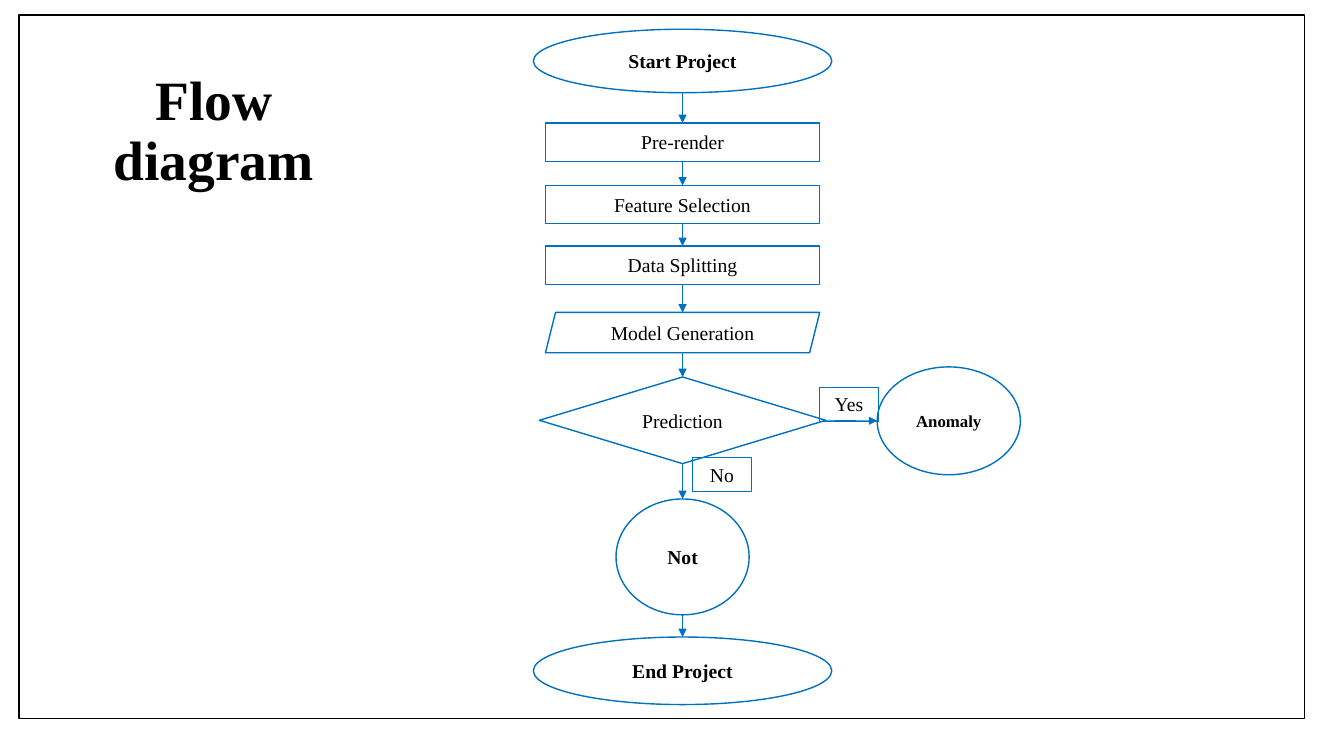
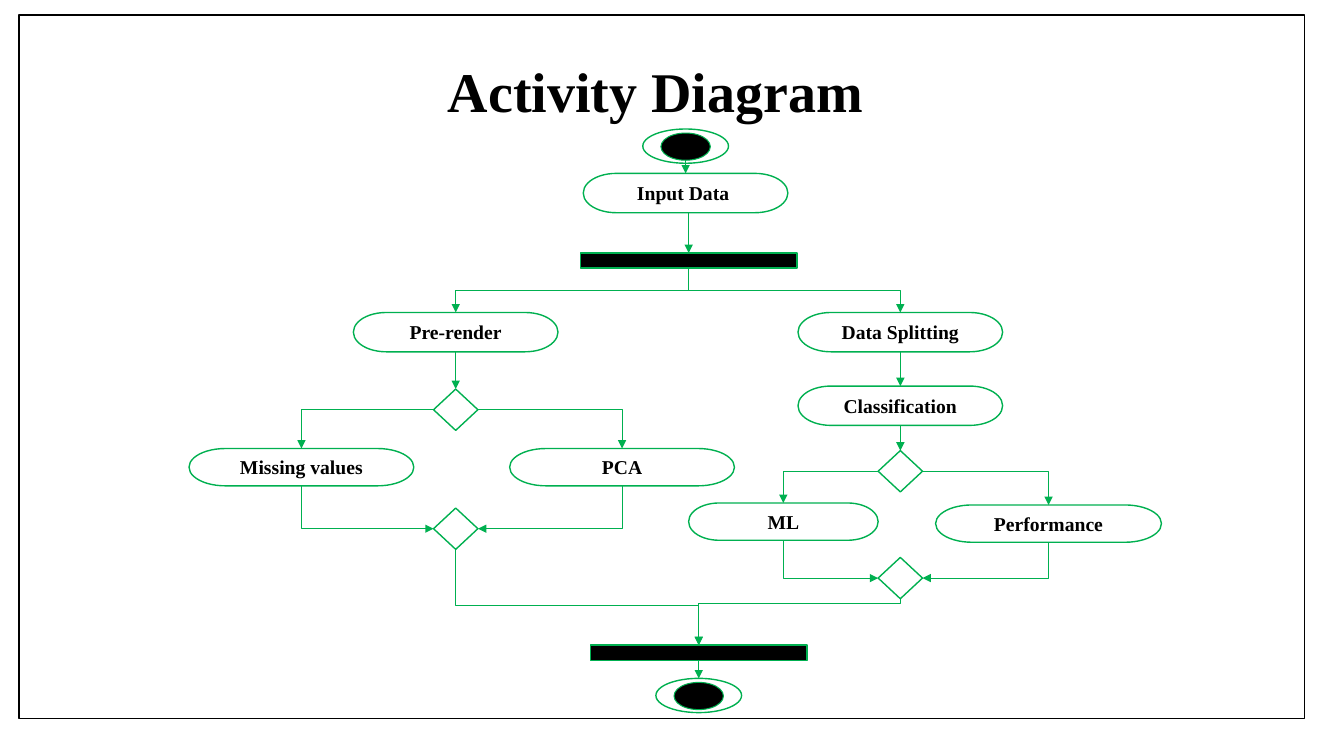
import pptx
import pptx.dml.color
import pptx.enum.shapes
import pptx.enum.text
import pptx.oxml
import pptx.oxml.ns
import pptx.util

RGBColor = pptx.dml.color.RGBColor
Inches = pptx.util.Inches
Pt = pptx.util.Pt
SHAPE = pptx.enum.shapes.MSO_SHAPE
CONNECTOR = pptx.enum.shapes.MSO_CONNECTOR
ANCHOR = pptx.enum.text.MSO_ANCHOR
CENTER = pptx.enum.text.PP_ALIGN.CENTER
qn = pptx.oxml.ns.qn

BLACK = RGBColor(0x00, 0x00, 0x00)
WHITE = RGBColor(0xFF, 0xFF, 0xFF)
BLUE = RGBColor(0x00, 0x70, 0xC0)
GREEN = RGBColor(0x00, 0xB0, 0x50)

FONT = "Times New Roman"
TOP, LEFT, BOTTOM, RIGHT = range(4)
FOUR_SIDED = (SHAPE.RECTANGLE, SHAPE.DIAMOND, SHAPE.FLOWCHART_TERMINATOR)


def set_format(target, values):
    for name, value in values.items():
        setattr(target, name, value)


def write(shape, text, size, bold, anchor, spacing=1.0):
    frame = shape.text_frame
    set_format(frame, {"word_wrap": True, "vertical_anchor": anchor,
                       "auto_size": pptx.enum.text.MSO_AUTO_SIZE.NONE})
    paragraph = frame.paragraphs[0]
    set_format(paragraph, {"alignment": CENTER, "line_spacing": spacing})
    run = paragraph.add_run()
    run.text = text
    set_format(run.font, {"name": FONT, "size": Pt(size), "bold": bold})
    run.font.color.rgb = BLACK


def node(slide, kind, center, top, width, height, color, text="", fill=None,
         bold=False, size=14, line_width=1, anchor=ANCHOR.MIDDLE):
    """Add an outlined shape, placed by its horizontal centre and its top."""
    shape = slide.shapes.add_shape(kind, Inches(center - width / 2), Inches(top),
                                   Inches(width), Inches(height))
    shape.shadow.inherit = False
    if fill is None:
        shape.fill.background()
    else:
        shape.fill.solid()
        shape.fill.fore_color.rgb = fill
    shape.line.color.rgb = color
    shape.line.width = Pt(line_width)
    if text:
        write(shape, text, size, bold, anchor)
    return shape


def side_point(shape, side):
    middle_x = shape.left + shape.width // 2
    middle_y = shape.top + shape.height // 2
    return {TOP: (middle_x, shape.top),
            LEFT: (shape.left, middle_y),
            BOTTOM: (middle_x, shape.top + shape.height),
            RIGHT: (shape.left + shape.width, middle_y)}[side]


def style_arrow(connector, color):
    connector.line.color.rgb = color
    connector.line.width = Pt(0.5)
    line = connector.line._get_or_add_ln()
    line.append(pptx.oxml.parse_xml(
        f'<a:tailEnd {pptx.oxml.ns.nsdecls("a")} type="triangle"/>'))
    connector._element.spPr.append(pptx.oxml.parse_xml(
        f'<a:effectLst {pptx.oxml.ns.nsdecls("a")}/>'))


def arrow(slide, source, target, color, from_side=BOTTOM, to_side=TOP, upright=False):
    """Join two nodes; upright starts straight above the target's middle."""
    begin_x, begin_y = side_point(source, from_side)
    end_x, end_y = side_point(target, to_side)
    if upright:
        begin_x = end_x
    connector = slide.shapes.add_connector(CONNECTOR.STRAIGHT,
                                           begin_x, begin_y, end_x, end_y)
    if source.auto_shape_type in FOUR_SIDED and not upright:
        connector.begin_connect(source, from_side)
    if target.auto_shape_type in FOUR_SIDED:
        connector.end_connect(target, to_side)
    style_arrow(connector, color)


def elbow(slide, source, from_side, target, to_side, color, bend=0.5):
    """Add a bent arrow with one corner, or two when it leaves and ends upright."""
    begin_x, begin_y = side_point(source, from_side)
    end_x, end_y = side_point(target, to_side)
    starts_down = from_side == BOTTOM
    if starts_down:
        # The preset starts sideways, so a quarter turn swaps its extents.
        across, down = abs(end_x - begin_x), end_y - begin_y
        left = (begin_x + end_x - down) // 2
        top = (begin_y + end_y - across) // 2
        ends = left, top, left + down, top + across
    else:
        ends = begin_x, begin_y, end_x, end_y
    connector = slide.shapes.add_connector(CONNECTOR.ELBOW, *ends)
    properties = connector._element.spPr
    if starts_down:
        transform = properties.find(qn("a:xfrm"))
        to_right = end_x > begin_x
        transform.set("rot", "16200000" if to_right else "5400000")
        if to_right:
            transform.set("flipH", "1")
    geometry = properties.find(qn("a:prstGeom"))
    if starts_down and to_side == TOP:
        guide = geometry.find(qn("a:avLst")).makeelement(
            qn("a:gd"), {"name": "adj1", "fmla": f"val {round(bend * 100000)}"})
        geometry.find(qn("a:avLst")).append(guide)
    else:
        geometry.set("prst", "bentConnector2")
    style_arrow(connector, color)


def framed_slide(deck, title, box, size, anchor, spacing):
    slide = deck.slides.add_slide(deck.slide_layouts[5])
    heading = slide.shapes.title
    set_format(heading, dict(zip(("left", "top", "width", "height"), map(Inches, box))))
    write(heading, title, size, True, anchor, spacing)
    node(slide, SHAPE.RECTANGLE, 6.565, 0.15, 12.75, 6.98, BLACK)
    return slide


def flow_slide(deck):
    slide = framed_slide(deck, "Flow diagram", (0.57, 0.79, 3.1, 1.05),
                         39.6, ANCHOR.MIDDLE, 0.9)
    axis = 6.77
    steps = [
        ("Start Project", SHAPE.OVAL, 0.29, 2.96, 0.63, True),
        ("Pre-render", SHAPE.RECTANGLE, 1.22, 2.72, 0.38, False),
        ("Feature Selection", SHAPE.RECTANGLE, 1.84, 2.72, 0.38, False),
        ("Data Splitting", SHAPE.RECTANGLE, 2.44, 2.72, 0.38, False),
        ("Model Generation", SHAPE.PARALLELOGRAM, 3.1, 2.72, 0.4, False),
        ("Prediction", SHAPE.DIAMOND, 3.74, 2.84, 0.86, False),
        ("Not", SHAPE.OVAL, 4.95, 1.32, 1.15, True),
        ("End Project", SHAPE.OVAL, 6.32, 2.96, 0.67, True),
    ]
    chain = [node(slide, kind, axis, top, width, height, BLUE, text, bold=bold)
             for text, kind, top, width, height, bold in steps]
    for source, target in zip(chain, chain[1:]):
        arrow(slide, source, target, BLUE)

    prediction = chain[5]
    anomaly = node(slide, SHAPE.OVAL, 9.41, 3.64, 1.42, 1.07, BLUE, "Anomaly",
                   bold=True, size=12)
    arrow(slide, prediction, anomaly, BLUE, RIGHT, LEFT)
    for answer, center, top in (("Yes", 8.42, 3.84), ("No", 7.16, 4.54)):
        node(slide, SHAPE.RECTANGLE, center, top, 0.58, 0.34, BLUE, answer,
             line_width=0.75, anchor=ANCHOR.TOP)


def activity(slide, text, center, top, width=2.03, height=0.39):
    return node(slide, SHAPE.FLOWCHART_TERMINATOR, center, top, width, height,
                GREEN, text, WHITE, bold=True)


def decision(slide, center, top):
    return node(slide, SHAPE.DIAMOND, center, top, 0.44, 0.41, GREEN, fill=WHITE)


def sync_bar(slide, center, top):
    return node(slide, SHAPE.RECTANGLE, center, top, 2.15, 0.15, GREEN, fill=BLACK)


def terminal(slide, center, top):
    """Add a ringed dot and return its ring and dot."""
    ring = node(slide, SHAPE.OVAL, center, top, 0.85, 0.34, GREEN, fill=WHITE)
    dot = node(slide, SHAPE.OVAL, center, top + 0.04, 0.49, 0.27, GREEN,
               fill=BLACK, line_width=0.75)
    return ring, dot


def split_and_merge(slide, split, left, right, merge):
    for side, branch in ((LEFT, left), (RIGHT, right)):
        elbow(slide, split, side, branch, TOP, GREEN)
        elbow(slide, branch, BOTTOM, merge, side, GREEN)


def activity_slide(deck):
    slide = framed_slide(deck, "Activity Diagram", (0.4, 0.51, 12.2, 0.77),
                         40, ANCHOR.TOP, 1.0)
    prepare_axis, model_axis = 4.52, 8.93

    start_dot = terminal(slide, 6.8, 1.28)[1]
    input_data = activity(slide, "Input Data ", 6.8, 1.72)
    fork = sync_bar(slide, 6.83, 2.51)
    arrow(slide, start_dot, input_data, GREEN)
    arrow(slide, input_data, fork, GREEN, upright=True)

    pre_render = activity(slide, "Pre-render", prepare_axis, 3.1)
    prepare_split = decision(slide, prepare_axis, 3.86)
    missing_values = activity(slide, "Missing values", 2.99, 4.45, 2.23, 0.37)
    pca = activity(slide, "PCA", 6.17, 4.45, 2.23, 0.37)
    prepare_merge = decision(slide, prepare_axis, 5.04)
    arrow(slide, pre_render, prepare_split, GREEN)
    split_and_merge(slide, prepare_split, missing_values, pca, prepare_merge)

    data_splitting = activity(slide, "Data Splitting", model_axis, 3.1)
    classification = activity(slide, "Classification", model_axis, 3.83)
    model_split = decision(slide, model_axis, 4.47)
    ml = activity(slide, "ML", 7.77, 4.99, 1.88, 0.37)
    performance = activity(slide, "Performance", 10.4, 5.01, 2.24, 0.37)
    model_merge = decision(slide, model_axis, 5.53)
    arrow(slide, data_splitting, classification, GREEN)
    arrow(slide, classification, model_split, GREEN)
    split_and_merge(slide, model_split, ml, performance, model_merge)

    join = sync_bar(slide, 6.93, 6.4)
    end_ring = terminal(slide, 6.93, 6.73)[0]
    for first_step in (pre_render, data_splitting):
        elbow(slide, fork, BOTTOM, first_step, TOP, GREEN)
    for merge, bend in ((prepare_merge, 0.58), (model_merge, 0.09)):
        elbow(slide, merge, BOTTOM, join, TOP, GREEN, bend)
    arrow(slide, join, end_ring, GREEN)


def main():
    deck = pptx.Presentation()
    set_format(deck, {"slide_width": Inches(13.33), "slide_height": Inches(7.5)})
    flow_slide(deck)
    activity_slide(deck)
    deck.save("out.pptx")


if __name__ == "__main__":
    main()
